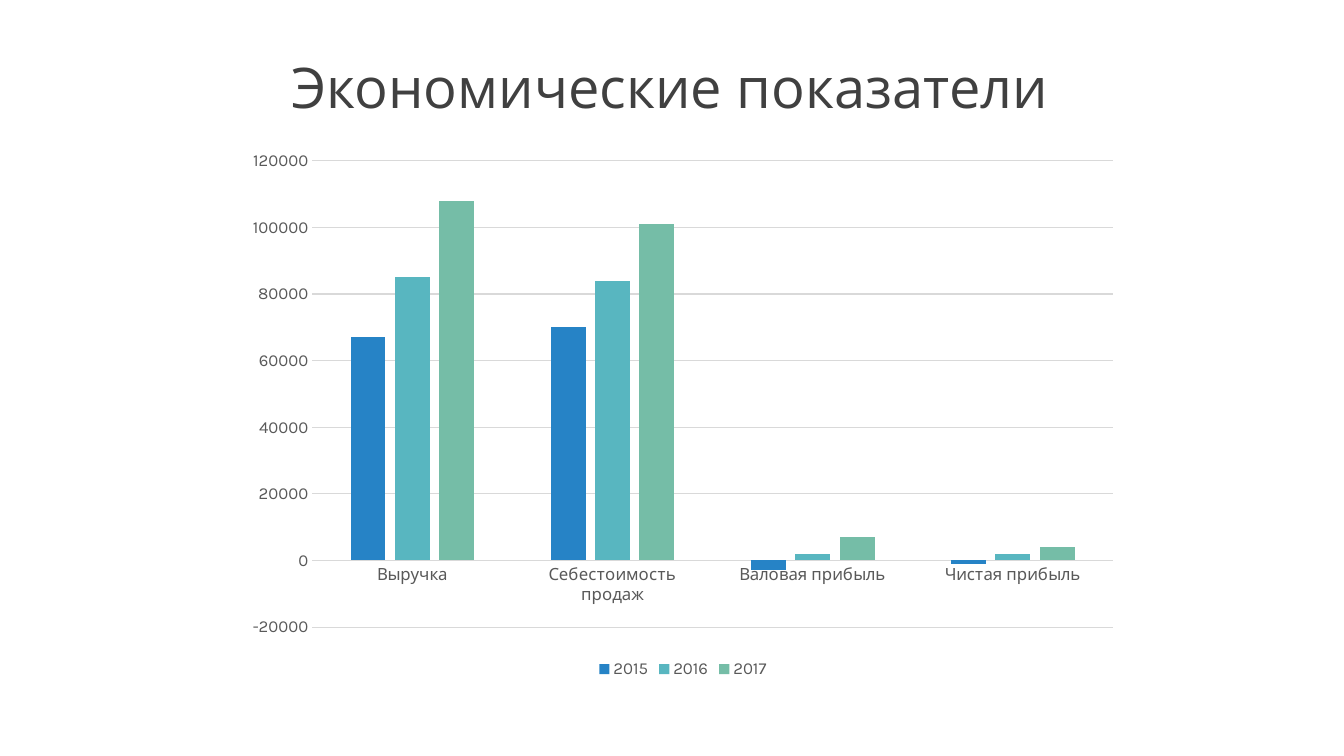
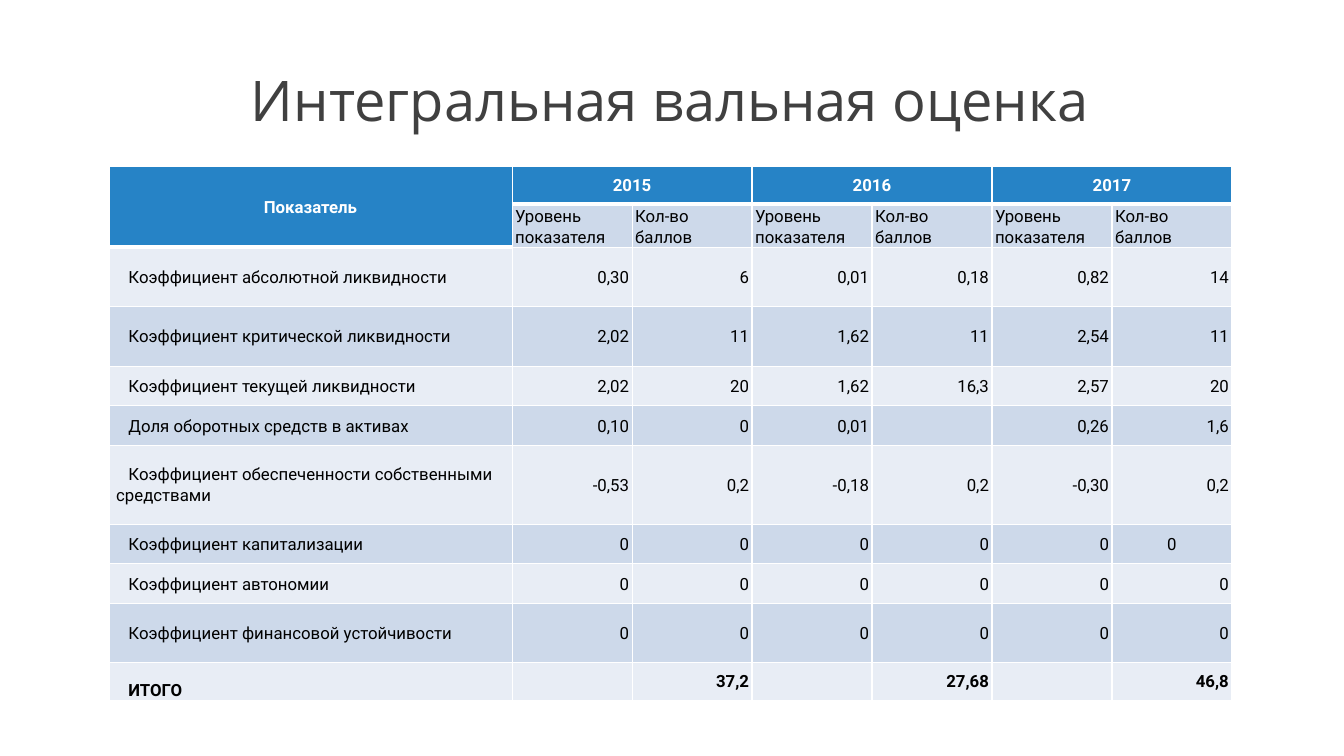
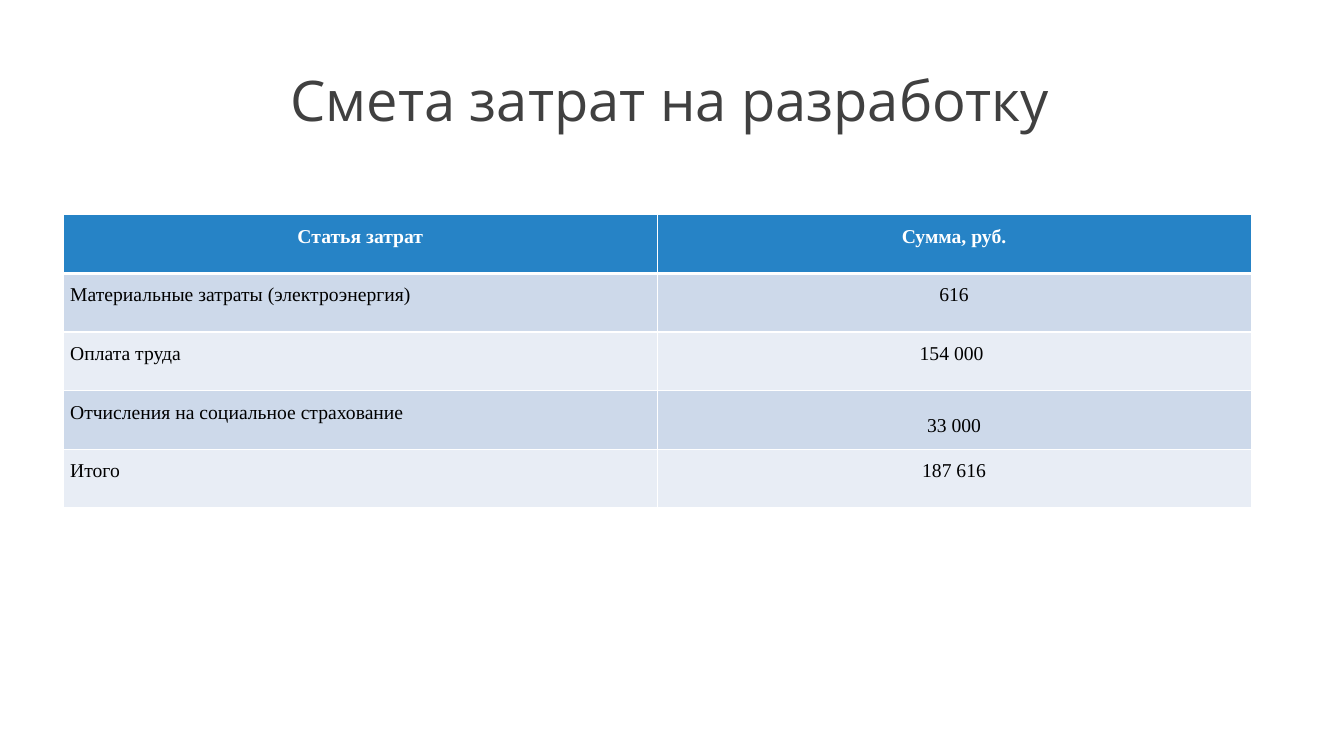
from pptx import Presentation
from pptx.chart import data
from pptx.dml.color import RGBColor
from pptx.enum import chart as ch, text
from pptx.oxml import parse_xml
from pptx.oxml.ns import nsdecls
from pptx.util import Pt

BLUE = RGBColor(0x26, 0x83, 0xC6)
TEAL = RGBColor(0x58, 0xB6, 0xC0)
GREEN = RGBColor(0x75, 0xBD, 0xA7)
DARK_BAND = RGBColor(0xCD, 0xD9, 0xEA)
LIGHT_BAND = RGBColor(0xE8, 0xED, 0xF5)
TITLE_GREY = RGBColor(0x40, 0x40, 0x40)
LABEL_GREY = RGBColor(0x59, 0x59, 0x59)
GRID_GREY = RGBColor(0xD9, 0xD9, 0xD9)
WHITE = RGBColor(0xFF, 0xFF, 0xFF)
BLACK = RGBColor(0, 0, 0)

LEFT, CENTER, RIGHT = text.PP_ALIGN.LEFT, text.PP_ALIGN.CENTER, text.PP_ALIGN.RIGHT
TOP, MIDDLE, BOTTOM = text.MSO_ANCHOR.TOP, text.MSO_ANCHOR.MIDDLE, text.MSO_ANCHOR.BOTTOM

deck = Presentation()
deck.slide_width, deck.slide_height = Pt(960), Pt(540)


def titled_slide(title, height=89.3):
    slide = deck.slides.add_slide(deck.slide_layouts[6])
    frame = slide.shapes.add_textbox(Pt(62.6), Pt(9.4), Pt(831.6), Pt(height)).text_frame
    frame.word_wrap = True
    frame.vertical_anchor = BOTTOM
    line = frame.paragraphs[0]
    line.text = title
    line.alignment = CENTER
    line.line_spacing = 0.9
    line.font.size, line.font.name = Pt(40), "Open Sans"
    line.font.color.rgb = TITLE_GREY
    return slide


def banded_table(slide, left, top, widths, heights, rows, merges,
                 font, size, spacing, margins, anchor, number_align):
    """Add a table with a blue header, banded rows and white rules; return it."""
    table = slide.shapes.add_table(len(rows), len(widths), Pt(left), Pt(top),
                                   Pt(sum(widths)), Pt(sum(heights))).table
    for column, width in zip(table.columns, widths):
        column.width = Pt(width)
    for row, height in zip(table.rows, heights):
        row.height = Pt(height)
    for first, last in merges:
        table.cell(*first).merge(table.cell(*last))
    for r, values in enumerate(rows):
        for c, value in enumerate(values):
            cell = table.cell(r, c)
            is_header = r == 0 or cell.is_spanned
            below_header = r == 1 or (r > 0 and table.cell(r - 1, c).is_spanned)
            cell.fill.solid()
            cell.fill.fore_color.rgb = BLUE if is_header else DARK_BAND if r % 2 else LIGHT_BAND
            cell.margin_left, cell.margin_right = map(Pt, margins)
            cell.margin_top = cell.margin_bottom = 0
            cell.vertical_anchor = anchor
            line = cell.text_frame.paragraphs[0]
            line.text = value
            line.alignment = CENTER if is_header else number_align if c else LEFT
            line.line_spacing = spacing
            line.font.name, line.font.size = font, Pt(size)
            line.font.bold = is_header
            line.font.color.rgb = WHITE if is_header else BLACK
            rules = {"L": 1, "R": 1, "T": 3 if below_header else 1, "B": 3 if is_header else 1}
            for i, (side, width) in enumerate(rules.items()):
                cell._tc.get_or_add_tcPr().insert(i, parse_xml(
                    f'<a:ln{side} {nsdecls("a")} w="{Pt(width)}"><a:solidFill>'
                    f'<a:srgbClr val="{WHITE}"/></a:solidFill></a:ln{side}>'))
    return table


# Economic indicators
slide = titled_slide("Экономические показатели", 80.6)
results = data.CategoryChartData()
results.categories = ["Выручка", "Себестоимость продаж", "Валовая прибыль", "Чистая прибыль"]
results.add_series("2015", (67000, 70000, -3000, -1000))
results.add_series("2016", (85000, 84000, 2000, 2000))
results.add_series("2017", (108000, 101000, 7000, 4000))
chart = slide.shapes.add_chart(ch.XL_CHART_TYPE.COLUMN_CLUSTERED, Pt(167.8), Pt(100),
                               Pt(640), Pt(388), results).chart
chart.has_title = False
chart.font.name, chart.font.size = "Karla", Pt(12)
chart.font.color.rgb = LABEL_GREY
chart.has_legend = True
chart.legend.position = ch.XL_LEGEND_POSITION.BOTTOM
chart.legend.include_in_layout = False
bars = chart.plots[0]
bars.gap_width, bars.overlap = 219, -27
bars.vary_by_categories = False
for series, color in zip(bars.series, (BLUE, TEAL, GREEN)):
    series.invert_if_negative = False
    series.format.fill.solid()
    series.format.fill.fore_color.rgb = color
for axis in (chart.category_axis, chart.value_axis):
    axis.major_tick_mark = axis.minor_tick_mark = ch.XL_TICK_MARK.NONE
chart.value_axis.format.line.fill.background()
for rule in (chart.category_axis.format.line, chart.value_axis.major_gridlines.format.line):
    rule.color.rgb = GRID_GREY
    rule.width = Pt(0.75)

# Integral score
slide = titled_slide("Интегральная вальная оценка")
scores = [
    ["Показатель", "2015", "", "2016", "", "2017", ""],
    [""] + ["Уровень\vпоказателя", "Кол-во\vбаллов"] * 3,
    ["Коэффициент абсолютной ликвидности", "0,30", "6", "0,01", "0,18", "0,82", "14"],
    ["Коэффициент критической ликвидности", "2,02", "11", "1,62", "11", "2,54", "11"],
    ["Коэффициент текущей ликвидности", "2,02", "20", "1,62", "16,3", "2,57", "20"],
    ["Доля оборотных средств в активах", "0,10", "0", "0,01", "", "0,26", "1,6"],
    ["Коэффициент обеспеченности собственными средствами",
     "-0,53", "0,2", "-0,18", "0,2", "-0,30", "0,2"],
    ["Коэффициент капитализации"] + ["0"] * 6,
    ["Коэффициент автономии"] + ["0"] * 6,
    ["Коэффициент финансовой устойчивости"] + ["0"] * 6,
    ["ИТОГО", "", "37,2", "", "27,68", "", "46,8"],
]
score_table = banded_table(
    slide, 77.8, 119, [288] + [85.7] * 6,
    [26.6, 31, 42.5, 42.5, 28.3, 28.3, 56.3, 28.3, 28.3, 42.5, 26.6], scores,
    [((0, 0), (1, 0)), ((0, 1), (0, 2)), ((0, 3), (0, 4)), ((0, 5), (0, 6))],
    "Roboto", 12, 1.07, (2.2, 2.2), MIDDLE, RIGHT)
total = len(scores) - 1
for c in range(1, 7):
    score_table.cell(1, c).vertical_anchor = BOTTOM
    score_table.cell(1, c).text_frame.paragraphs[0].alignment = LEFT
for r in range(2, total + 1):
    indent = score_table.cell(r, 0).text_frame.paragraphs[0]._p.get_or_add_pPr()
    indent.set("marL", str(Pt(3)))
    indent.set("indent", str(Pt(8.8)))
for c in range(7):
    score_table.cell(total, c).text_frame.paragraphs[0].font.bold = True
score_table.cell(total, 0).vertical_anchor = BOTTOM
score_table.cell(7, 6).text_frame.paragraphs[0].alignment = CENTER

# Development budget
slide = titled_slide("Смета затрат на разработку")
costs = [
    ["Статья затрат", "Сумма, руб."],
    ["Материальные затраты (электроэнергия)", "616"],
    ["Оплата труда", "154 000 "],
    ["Отчисления на социальное страхование", "33 000"],
    ["Итого", "187 616"],
]
cost_table = banded_table(slide, 45.6, 153.4, [424.1] * 2, [41.9] * 5, costs, [],
                          "Times New Roman", 14, 1.5, (4.5, 5), TOP, CENTER)
cost_table.cell(3, 1).vertical_anchor = MIDDLE

deck.save("out.pptx")
